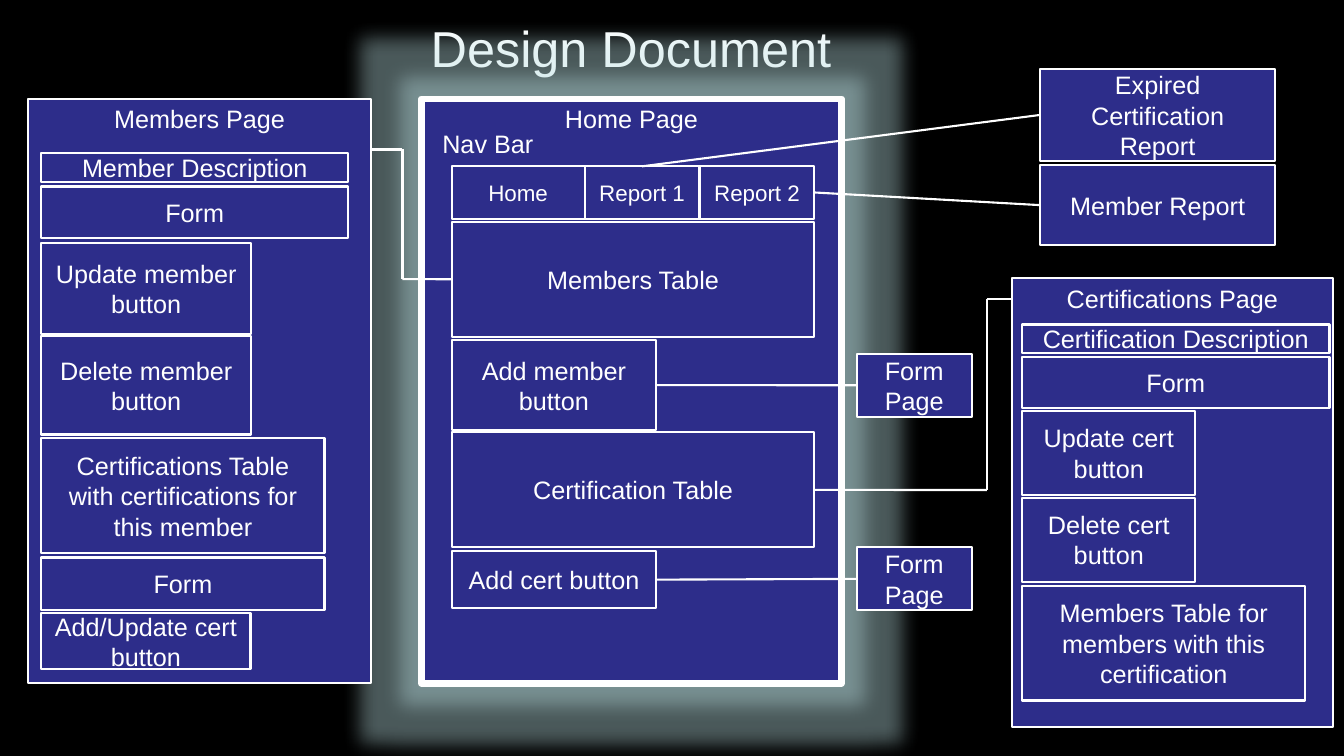
from lxml import etree
from pptx import Presentation
from pptx.dml.color import RGBColor
from pptx.enum.shapes import MSO_CONNECTOR, MSO_SHAPE
from pptx.enum.text import MSO_ANCHOR, PP_ALIGN
from pptx.oxml.ns import qn
from pptx.util import Pt

RECTANGLE = MSO_SHAPE.RECTANGLE
STRAIGHT = MSO_CONNECTOR.STRAIGHT
TOP, MIDDLE = MSO_ANCHOR.TOP, MSO_ANCHOR.MIDDLE
CENTER, LEFT = PP_ALIGN.CENTER, PP_ALIGN.LEFT
TOP_SIDE, LEFT_SIDE, RIGHT_SIDE = 0, 1, 3

FONT = "Arial"
COLORS = {"background": "000000", "box": "2D2D8A", "white": "FFFFFF", "glow": "BBE0E3"}


def color(name):
    return RGBColor.from_string(COLORS[name])


def write(shape, text, size=18, align=CENTER, anchor=MIDDLE):
    text_frame = shape.text_frame
    text_frame.text = text
    text_frame.word_wrap = True
    text_frame.vertical_anchor = anchor
    paragraph = text_frame.paragraphs[0]
    paragraph.alignment = align
    font = paragraph.runs[0].font
    font.name, font.size = FONT, Pt(size)
    font.color.rgb = color("white")


def add_box(slide, box, text, size=18, anchor=MIDDLE, line_width=1.5):
    shape = slide.shapes.add_shape(RECTANGLE, *map(Pt, box))
    shape.shadow.inherit = False
    shape.fill.solid()
    shape.fill.fore_color.rgb = color("box")
    shape.line.color.rgb = color("white")
    shape.line.width = Pt(line_width)
    write(shape, text, size, anchor=anchor)
    return shape


def add_glow(shape, radius, opacity):
    effects = shape._element.spPr.find(qn("a:effectLst"))
    glow = etree.SubElement(effects, qn("a:glow"), rad=str(Pt(radius)))
    tint = etree.SubElement(glow, qn("a:srgbClr"), val=COLORS["glow"])
    etree.SubElement(tint, qn("a:alpha"), val=str(opacity * 1000))


def add_line(slide, start, end):
    """Each end is an (x, y) point or a (shape, side) pair to join."""
    points = [(0, 0) if hasattr(end_, "shape_id") else (end_, other)
              for end_, other in (start, end)]
    line = slide.shapes.add_connector(STRAIGHT, *(Pt(v) for point in points for v in point))
    if hasattr(start[0], "shape_id"):
        line.begin_connect(*start)
    if hasattr(end[0], "shape_id"):
        line.end_connect(*end)
    line.line.color.rgb = color("white")
    line.line.width = Pt(1.5)
    etree.SubElement(line._element.spPr, qn("a:effectLst"))


def add_route(slide, stops):
    for start, end in zip(stops, stops[1:]):
        add_line(slide, start, end)


def add_page(slide, box, title, inset, parts, line_width=1.5):
    """Draw a titled page and its parts, each (text, offset down, width, height)."""
    left, top = box[:2]
    page = add_box(slide, box, title, anchor=TOP, line_width=line_width)
    shapes = [add_box(slide, (left + inset, top + down, width, height), text)
              for text, down, width, height in parts]
    return page, shapes


def add_title(slide, box):
    write(slide.shapes.add_textbox(*map(Pt, box)), "Design Document", 36)


def add_members_page(slide, box):
    add_page(slide, box, "Members Page", 9.3, [
        ("Member Description", 38.9, 219.2, 20.2),
        ("Form", 62.6, 219.2, 36.7),
        ("Update member button", 103, 149.8, 64.8),
        ("Delete member button", 169.2, 149.8, 70.6),
        ("Certifications Table with certifications for this member", 242.6, 202.3, 82.1),
        ("Form", 327.6, 202.3, 37.4),
        ("Add/Update cert button", 367.2, 149.4, 40.3),
    ])


def add_certifications_page(slide, box):
    add_page(slide, box, "Certifications Page", 7.2, [
        ("Certification Description", 33.1, 219.6, 20.2),
        ("Form", 56.2, 219.6, 36.7),
        ("Update cert button", 95, 123.8, 59.8),
        ("Delete cert button", 157, 123.8, 59.8),
        ("Members Table for members with this certification", 219.6, 202.3, 82.1),
    ])


def add_home_page(slide, box):
    left, top = box[:2]
    inset = 21.6
    page, parts = add_page(slide, box, "Home Page", inset, [
        ("Members Table", 87.8, 259.2, 82.1),
        ("Add member button", 172.1, 146.2, 64.8),
        ("Certification Table", 238.3, 259.2, 82.1),
        ("Add cert button", 323.3, 146.2, 40.3),
    ], line_width=4.5)
    add_glow(page, 28, 40)

    # Navigation bar
    x = left + inset
    tabs = []
    for text, width in (("Home", 95), ("Report 1", 82.1), ("Report 2", 82.1)):
        tabs.append(add_box(slide, (x, top + 48.2, width, 37.4), text, 16))
        x += width
    label = slide.shapes.add_textbox(Pt(left + 7.9), Pt(top + 17.3), Pt(90.7), Pt(28.8))
    write(label, "Nav Bar", align=LEFT, anchor=TOP)
    return parts, tabs


def add_stack(slide, box, items):
    """Draw boxes of one width, each (text, offset down, height)."""
    left, top, width = box
    return [add_box(slide, (left, top + down, width, height), text)
            for text, down, height in items]


def main():
    presentation = Presentation()
    presentation.slide_width, presentation.slide_height = Pt(960), Pt(540)
    slide = presentation.slides.add_slide(presentation.slide_layouts[6])
    slide.background.fill.solid()
    slide.background.fill.fore_color.rgb = color("background")

    # Title and pages
    add_title(slide, (18.7, -7.2, 864, 82.1))
    parts, tabs = add_home_page(slide, (301, 70.6, 300.2, 417.6))
    members_table, add_member, certification_table, add_cert = parts
    add_members_page(slide, (20.2, 70.6, 244.8, 417.6))
    add_certifications_page(slide, (722.9, 198.7, 229, 320.4))

    # Reports and forms
    reports = add_stack(slide, (743, 49, 167.8), [
        ("Expired Certification Report", 0, 66.2), ("Member Report", 69.1, 56.9)])
    forms = add_stack(slide, (612, 252.7, 82.1), [
        ("Form Page", 0, 45), ("Form Page", 138.3, 45)])

    # Links between the boxes
    add_line(slide, (tabs[1], TOP_SIDE), (reports[0], LEFT_SIDE))
    add_line(slide, (tabs[2], RIGHT_SIDE), (reports[1], LEFT_SIDE))
    for button, form in zip((add_member, add_cert), forms):
        add_line(slide, (button, RIGHT_SIDE), (form, LEFT_SIDE))
    add_route(slide, [(members_table, LEFT_SIDE), (287.5, 199.4), (287.5, 106.8), (265, 106.8)])
    add_route(slide, [(certification_table, RIGHT_SIDE), (705, 350), (705, 213.8), (722.9, 213.8)])

    presentation.save("out.pptx")


if __name__ == "__main__":
    main()
